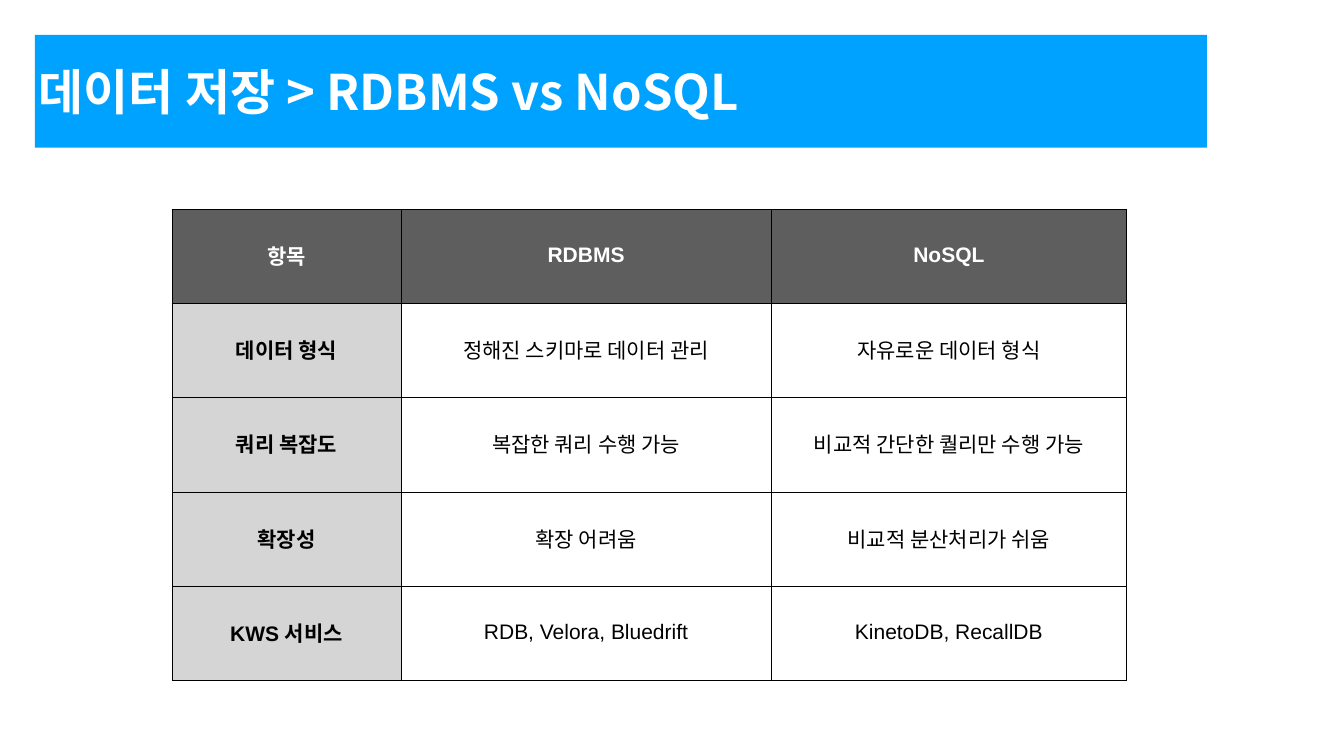
from lxml.etree import SubElement
from pptx import Presentation
from pptx.dml.color import RGBColor
from pptx.enum.shapes import MSO_SHAPE
from pptx.enum.text import MSO_ANCHOR, PP_ALIGN
from pptx.oxml.ns import qn
from pptx.util import Inches, Pt

BLUE = RGBColor(0x00, 0xA2, 0xFF)
DARK_GRAY = RGBColor(0x5E, 0x5E, 0x5E)
LIGHT_GRAY = RGBColor(0xD5, 0xD5, 0xD5)
WHITE = RGBColor(0xFF, 0xFF, 0xFF)
BLACK = RGBColor(0x00, 0x00, 0x00)
KOREAN_FONT = "Noto Sans CJK KR"
COLUMN_WIDTHS = [4.55, 7.34, 7.06]
ROW_HEIGHT = 1.87
TABLE_WIDTH = 18.95
ROWS = [
    ["항목", "RDBMS", "NoSQL"],
    ["데이터 형식", "정해진 스키마로 데이터 관리", "자유로운 데이터 형식"],
    ["쿼리 복잡도", "복잡한 쿼리 수행 가능", "비교적 간단한 퀄리만 수행 가능"],
    ["확장성", "확장 어려움", "비교적 분산처리가 쉬움"],
    ["KWS 서비스", "RDB, Velora, Bluedrift", "KinetoDB, RecallDB"],
]


def write_text(frame, text, *, size, font, color, bold, align,
               line_spacing=1.0, space_before=0):
    paragraph = frame.paragraphs[0]
    paragraph.alignment = align
    paragraph.line_spacing = line_spacing
    paragraph.space_before = Pt(space_before)
    span = paragraph.add_run()
    span.text = text
    span.font.size = Pt(size)
    span.font.name = font
    span.font.bold = bold
    span.font.color.rgb = color
    SubElement(span.font._element, qn("a:ea"), typeface=KOREAN_FONT)


def set_margins(target, margin):
    target.margin_left = target.margin_right = Inches(margin)
    target.margin_top = target.margin_bottom = Inches(margin)
    target.vertical_anchor = MSO_ANCHOR.MIDDLE


def add_title_bar(page, text):
    bar = page.shapes.add_shape(MSO_SHAPE.RECTANGLE, Inches(0.69), Inches(0.69),
                                Inches(23.26), Inches(2.24))
    bar.shadow.inherit = False
    bar.fill.solid()
    bar.fill.fore_color.rgb = BLUE
    bar.line.fill.background()
    bar.text_frame.word_wrap = True
    set_margins(bar.text_frame, 0.08)
    write_text(bar.text_frame, text, size=70, font=KOREAN_FONT, color=WHITE,
               bold=True, align=PP_ALIGN.LEFT)


def set_borders(cell, color, width):
    properties = cell._tc.get_or_add_tcPr()
    for position, side in enumerate(["a:lnL", "a:lnR", "a:lnT", "a:lnB"]):
        line = SubElement(properties, qn(side), w=str(Pt(width)))
        fill = SubElement(line, qn("a:solidFill"))
        SubElement(fill, qn("a:srgbClr"), val=str(color))
        properties.insert(position, line)


def format_cell(cell, text, *, fill, color, bold):
    cell.fill.solid()
    cell.fill.fore_color.rgb = fill
    set_margins(cell, 0.06)
    set_borders(cell, BLACK, 1)
    write_text(cell.text_frame, text, size=30, font="Arial", color=color, bold=bold,
               align=PP_ALIGN.CENTER, line_spacing=0.9, space_before=45)


def add_comparison_table(page, rows):
    table = page.shapes.add_table(len(rows), len(COLUMN_WIDTHS), Inches(3.41),
                                  Inches(4.15), Inches(TABLE_WIDTH),
                                  Inches(ROW_HEIGHT * len(rows))).table
    for column, width in zip(table.columns, COLUMN_WIDTHS):
        column.width = Inches(width)
    for row_index, row in enumerate(rows):
        table.rows[row_index].height = Inches(ROW_HEIGHT)
        for column_index, text in enumerate(row):
            is_header = row_index == 0
            is_label = column_index == 0
            fill = DARK_GRAY if is_header else LIGHT_GRAY if is_label else WHITE
            format_cell(table.cell(row_index, column_index), text, fill=fill,
                        color=WHITE if is_header else BLACK,
                        bold=is_header or is_label)


def main():
    deck = Presentation()
    deck.slide_width = Inches(26.67)
    deck.slide_height = Inches(15)
    page = deck.slides.add_slide(deck.slide_layouts[6])
    add_title_bar(page, "데이터 저장 > RDBMS vs NoSQL")
    add_comparison_table(page, ROWS)
    deck.save("out.pptx")


if __name__ == "__main__":
    main()
